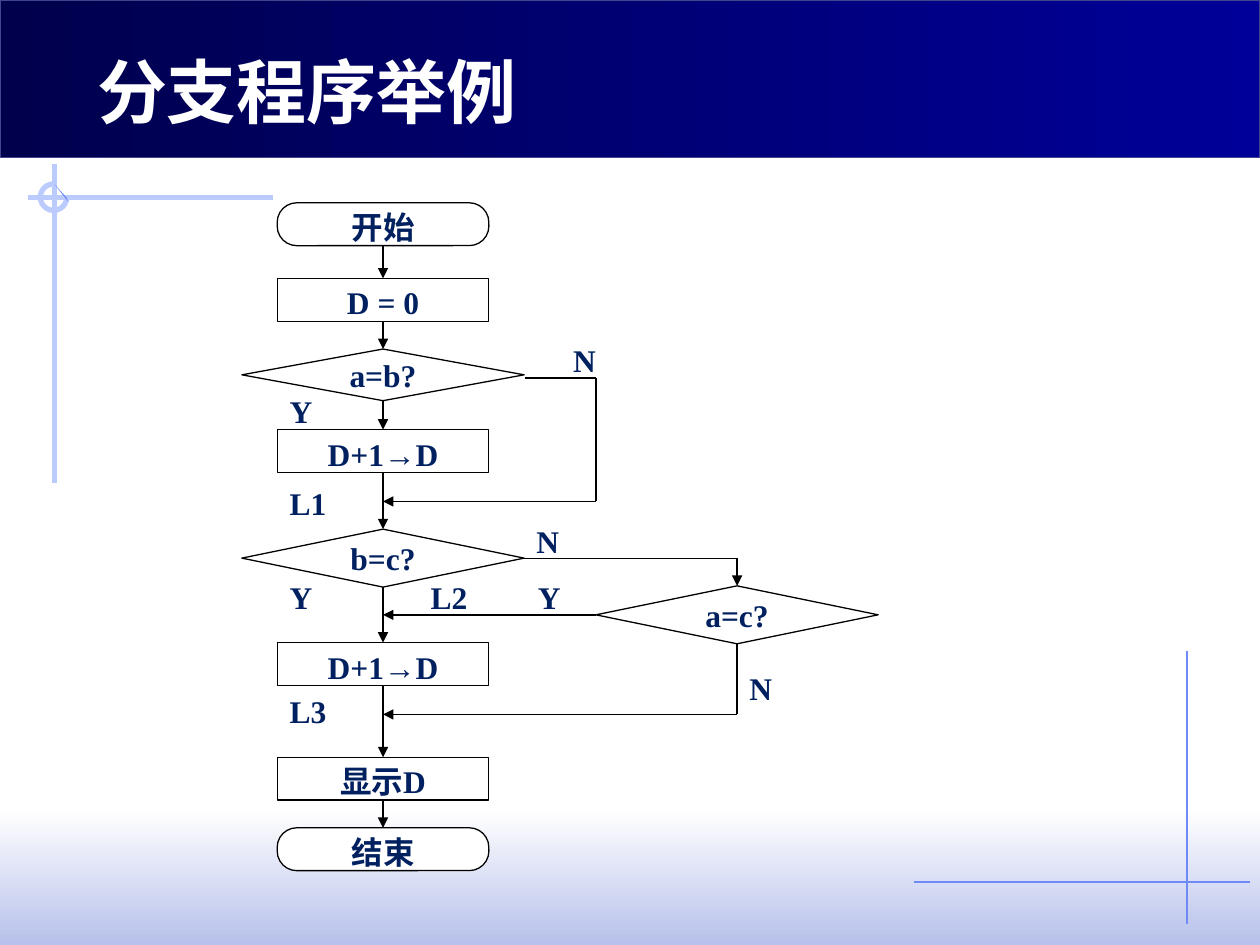
from dataclasses import dataclass
from itertools import pairwise
from typing import Optional

from pptx import Presentation
from pptx.dml.color import RGBColor
from pptx.enum.shapes import MSO_CONNECTOR, MSO_SHAPE
from pptx.enum.text import MSO_ANCHOR, PP_ALIGN
from pptx.oxml.ns import qn
from pptx.util import Inches, Pt
from lxml.etree import SubElement


@dataclass(frozen=True)
class Theme:
    white: str = "FFFFFF"
    black: str = "000000"
    text: str = "002060"
    band_dark: str = "00004D"
    band_light: str = "000099"
    band_edge: str = "40458C"
    footer: str = "B7C1EB"
    pale: str = "BBCBFD"
    accent: str = "6F89F7"
    latin_font: str = "Times New Roman"
    asian_font: str = "Noto Sans CJK JP"
    title_size: float = 40
    text_size: float = 18
    thin: float = 0.75
    thick: float = 3


@dataclass(frozen=True)
class Node:
    text: str
    left: float
    top: float
    width: float = 1.68
    height: float = 0.34
    kind: MSO_SHAPE = MSO_SHAPE.RECTANGLE
    top_inset: float = 0.04


@dataclass(frozen=True)
class Label:
    text: str
    left: float
    top: float


@dataclass(frozen=True)
class Site:
    """A connection point: 0 top, 1 left, 2 bottom, 3 right."""
    shape: object
    index: int


THEME = Theme()
TOP, LEFT, BOTTOM, RIGHT = range(4)
AXIS = 3.04
SIDE_AXIS = 5.85
BOX_LEFT = 2.2


def rgb(color: str) -> RGBColor:
    return RGBColor.from_string(color)


def add_run(paragraph, text: str, size: float, color: str, latin: str) -> None:
    run = paragraph.add_run()
    run.text = text
    font = run.font
    font.size, font.bold, font.name = Pt(size), True, latin
    font.color.rgb = rgb(color)
    SubElement(font._element, qn("a:ea")).set("typeface", THEME.asian_font)


def add_plain_shape(slide, kind, left, top, width, height, fill=None, line=None,
                    weight=THEME.thin):
    shape = slide.shapes.add_shape(kind, *map(Inches, (left, top, width, height)))
    style_shape(shape, fill, line, weight)
    return shape


def style_shape(shape, fill: Optional[str], line: Optional[str], weight: float) -> None:
    shape.shadow.inherit = False
    if fill:
        shape.fill.solid()
        shape.fill.fore_color.rgb = rgb(fill)
    else:
        shape.fill.background()
    if line:
        shape.line.color.rgb = rgb(line)
        shape.line.width = Pt(weight)
    else:
        shape.line.fill.background()


def set_gradient(shape, start: str, end: str, angle: float) -> None:
    shape.fill.gradient()
    shape.fill.gradient_angle = angle
    for stop, color in zip(shape.fill.gradient_stops, (start, end)):
        stop.color.rgb = rgb(color)


def add_line(slide, start, end, color=THEME.black, weight=THEME.thin, arrow=False,
             begin: Optional[Site] = None, finish: Optional[Site] = None) -> None:
    line = slide.shapes.add_connector(MSO_CONNECTOR.STRAIGHT, *map(Inches, (*start, *end)))
    line.line.color.rgb = rgb(color)
    line.line.width = Pt(weight)
    if arrow:
        SubElement(line.line._get_or_add_ln(), qn("a:tailEnd")).set("type", "triangle")
    SubElement(line.element.spPr, qn("a:effectLst"))
    if begin:
        line.begin_connect(begin.shape, begin.index)
    if finish:
        line.end_connect(finish.shape, finish.index)


def add_route(slide, points, begin: Optional[Site] = None,
              finish: Optional[Site] = None) -> None:
    """Draw a bent path whose last segment carries the arrowhead."""
    last = len(points) - 2
    for index, (start, end) in enumerate(pairwise(points)):
        add_line(slide, start, end, arrow=index == last,
                 begin=begin if index == 0 else None,
                 finish=finish if index == last else None)


def add_node(slide, node: Node):
    shape = add_plain_shape(slide, node.kind, node.left, node.top, node.width, node.height,
                            THEME.white, THEME.black)
    if node.kind == MSO_SHAPE.ROUNDED_RECTANGLE:
        shape.adjustments[0] = 0.455
    frame = shape.text_frame
    frame.word_wrap = True
    frame.vertical_anchor = MSO_ANCHOR.MIDDLE
    frame.margin_left = frame.margin_right = Inches(0.02)
    frame.margin_top, frame.margin_bottom = Inches(node.top_inset), 0
    paragraph = frame.paragraphs[0]
    paragraph.alignment = PP_ALIGN.CENTER
    add_run(paragraph, node.text, THEME.text_size, THEME.text, THEME.latin_font)
    return shape


def add_label(slide, label: Label) -> None:
    shape = add_plain_shape(slide, MSO_SHAPE.RECTANGLE, label.left, label.top, 0.84, 0.34,
                            THEME.white, THEME.white)
    frame = shape.text_frame
    frame.vertical_anchor = MSO_ANCHOR.TOP
    frame.margin_top = Inches(0.05)
    paragraph = frame.paragraphs[0]
    paragraph.alignment = PP_ALIGN.LEFT
    add_run(paragraph, label.text, THEME.text_size, THEME.text, THEME.latin_font)


def decision(text: str, axis: float, top: float, height: float) -> Node:
    return Node(text, axis - 1.12, top, 2.24, height, MSO_SHAPE.FLOWCHART_DECISION, 0)


def terminal(text: str, top: float) -> Node:
    return Node(text, BOX_LEFT, top, kind=MSO_SHAPE.ROUNDED_RECTANGLE)


def add_decoration(slide) -> None:
    footer = add_plain_shape(slide, MSO_SHAPE.RECTANGLE, 0, 6.42, 10, 1.08)
    set_gradient(footer, THEME.white, THEME.footer, 270)
    add_line(slide, (9.42, 5.17), (9.42, 7.33), THEME.accent)
    add_line(slide, (7.25, 7), (9.92, 7), THEME.accent)
    add_line(slide, (2.17, 1.57), (0.22, 1.57), THEME.pale, THEME.thick)
    add_line(slide, (0.43, 1.3), (0.43, 3.83), THEME.pale, THEME.thick)
    ring = add_plain_shape(slide, MSO_SHAPE.ARC, 0.32, 1.46, 0.21, 0.21,
                           line=THEME.pale, weight=THEME.thick)
    ring.adjustments[0], ring.adjustments[1] = 0, 162
    builder = slide.shapes.build_freeform(Inches(0.43), Inches(1.46))
    builder.add_line_segments([(Inches(0.53), Inches(1.57)), (Inches(0.54), Inches(1.6))])
    style_shape(builder.convert_to_shape(), THEME.accent, None, THEME.thin)
    band = add_plain_shape(slide, MSO_SHAPE.RECTANGLE, 0, 0, 10, 1.25, line=THEME.band_edge)
    set_gradient(band, THEME.band_dark, THEME.band_light, 0)


def add_title(slide, text: str) -> None:
    title = slide.shapes.title
    title.left, title.top, title.width, title.height = map(Inches, (0.67, 0.33, 3.54, 0.77))
    frame = title.text_frame
    frame.word_wrap = False
    frame.vertical_anchor = MSO_ANCHOR.MIDDLE
    paragraph = frame.paragraphs[0]
    paragraph.alignment = PP_ALIGN.LEFT
    add_run(paragraph, text, THEME.title_size, THEME.white, THEME.asian_font)
    title.element.getparent().append(title.element)  # in front of the band


def add_flowchart(slide) -> None:
    for label in (Label("L3", BOX_LEFT, 5.44), Label("L2", 3.32, 4.54),
                  Label("L1", BOX_LEFT, 3.79), Label("N", SIDE_AXIS, 5.26),
                  Label("Y", 4.17, 4.54), Label("Y", BOX_LEFT, 4.54),
                  Label("N", 4.16, 4.09), Label("Y", BOX_LEFT, 3.06),
                  Label("N", 4.45, 2.66)):
        add_label(slide, label)

    main_chain = [add_node(slide, node) for node in (
        terminal("开始", 1.61),
        Node("D = 0", BOX_LEFT, 2.21),
        decision("a=b?", AXIS, 2.77, 0.41),
        Node("D+1→D", BOX_LEFT, 3.41),
        decision("b=c?", AXIS, 4.2, 0.46),
        Node("D+1→D", BOX_LEFT, 5.1),
        Node("显示D", BOX_LEFT, 6.01),
        terminal("结束", 6.57))]
    second_test = main_chain[4]
    third_test = add_node(slide, decision("a=c?", SIDE_AXIS, 4.65, 0.46))

    for upper, lower in pairwise(main_chain):
        add_line(slide, (AXIS, 0), (AXIS, 1), arrow=True,
                 begin=Site(upper, BOTTOM), finish=Site(lower, TOP))
    add_route(slide, [(4.17, 3), (4.73, 3), (4.73, 3.98), (AXIS, 3.98)])
    add_route(slide, [(4.16, 4.43), (SIDE_AXIS, 4.43), (SIDE_AXIS, 4.65)],
              Site(second_test, RIGHT), Site(third_test, TOP))
    add_route(slide, [(4.73, 4.88), (AXIS, 4.88)], Site(third_test, LEFT))
    add_route(slide, [(SIDE_AXIS, 5.11), (SIDE_AXIS, 5.67), (AXIS, 5.67)],
              Site(third_test, BOTTOM))


def main() -> None:
    presentation = Presentation()
    presentation.slide_width, presentation.slide_height = Inches(10), Inches(7.5)
    slide = presentation.slides.add_slide(presentation.slide_layouts[5])
    add_decoration(slide)
    add_title(slide, "分支程序举例")
    add_flowchart(slide)
    presentation.save("out.pptx")


if __name__ == "__main__":
    main()
